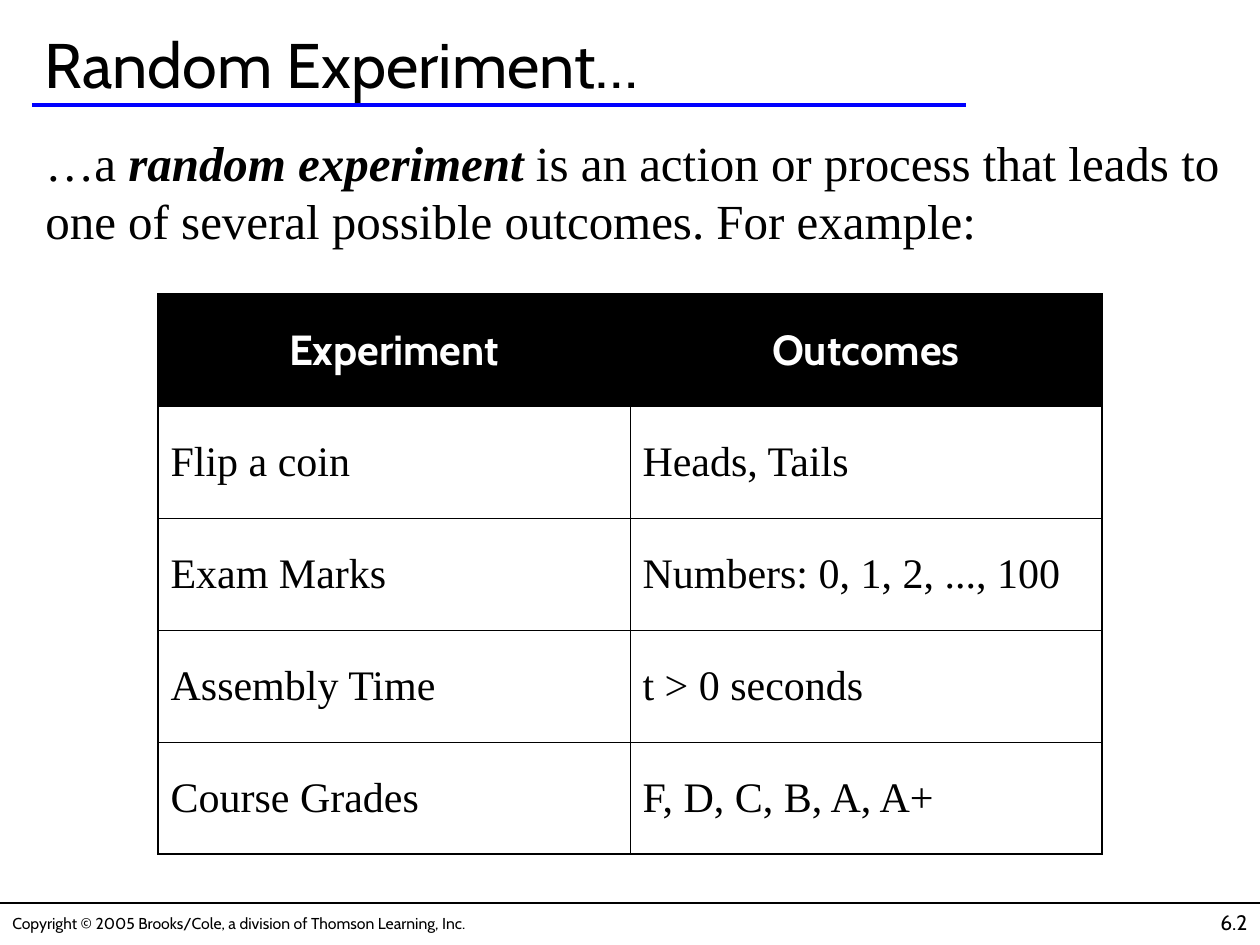
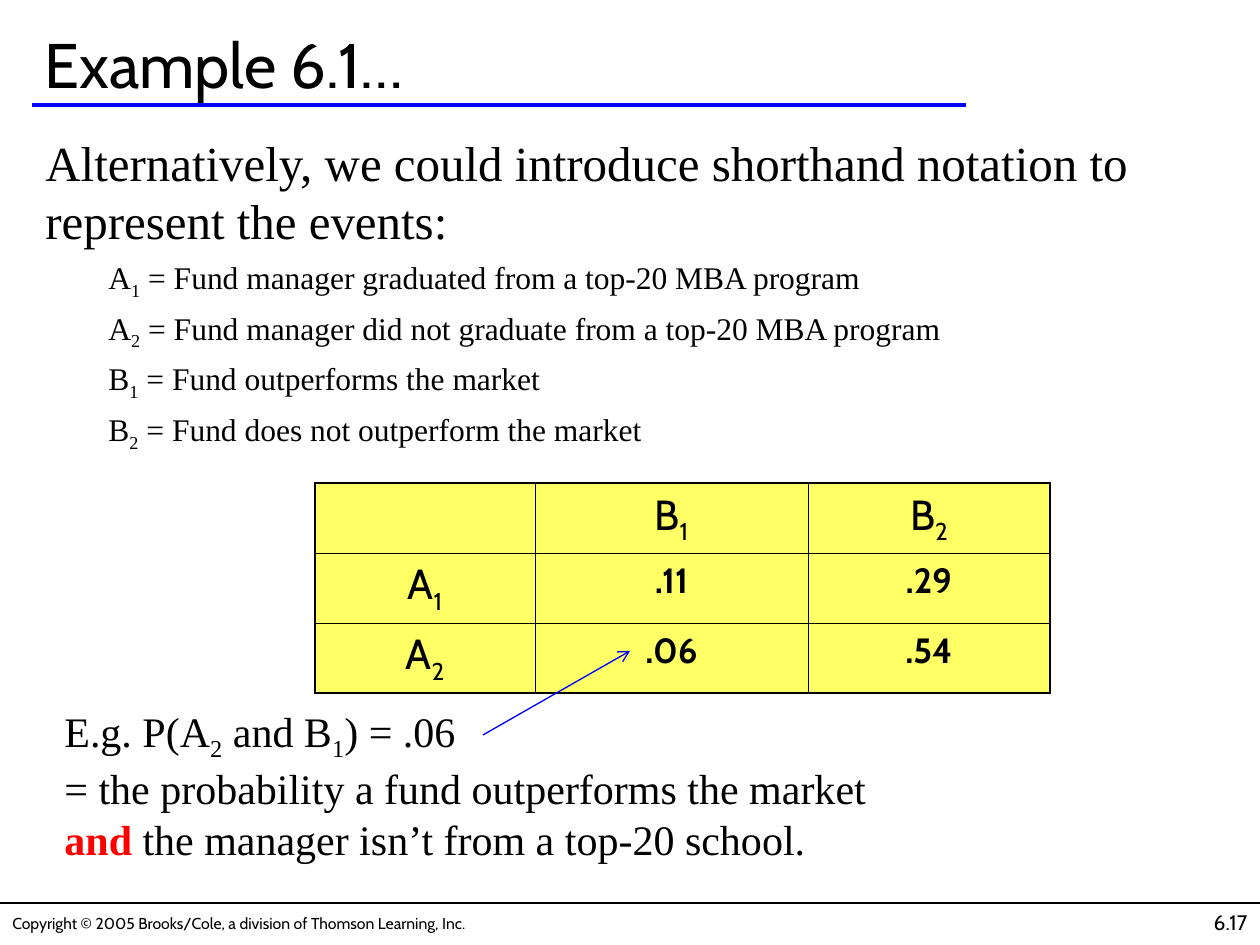
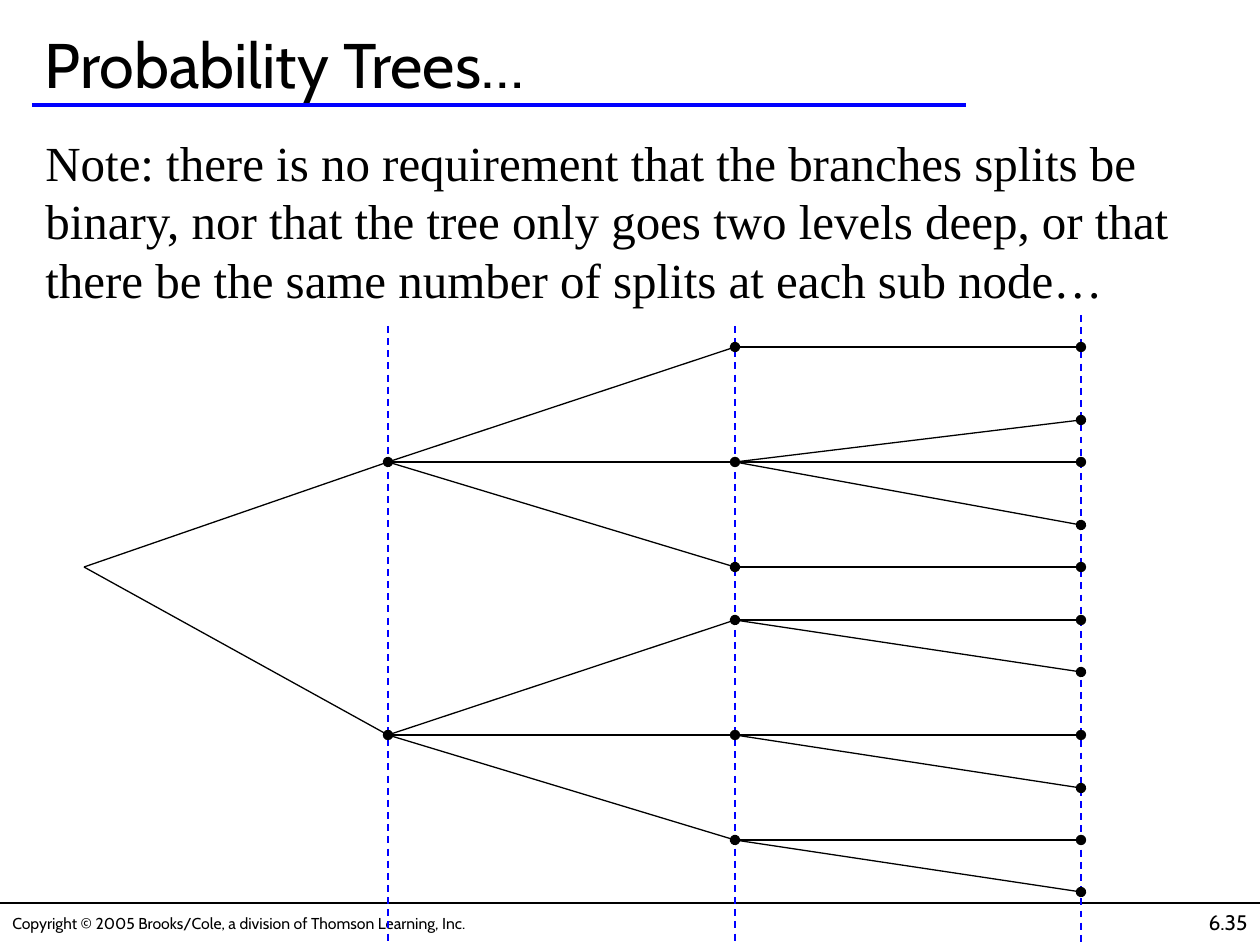
"""Build three lecture slides on probability: experiments, joint events and trees."""
from lxml.etree import SubElement
from pptx import Presentation
from pptx.dml.color import RGBColor
from pptx.enum.dml import MSO_LINE as Dash
from pptx.enum.shapes import MSO_CONNECTOR as Connector
from pptx.enum.text import MSO_ANCHOR as Anchor, MSO_AUTO_SIZE as AutoSize, PP_ALIGN as Align
from pptx.oxml.ns import qn
from pptx.util import Emu, Pt

SCALE = 914400 / 126
WIDTH, HEIGHT = 1260, 945
TITLE_ONLY = 5
COLORS = {"ink": "000000", "paper": "FFFFFF", "accent": "0000FF", "cell": "FFFF66", "alert": "FF0000"}
SANS, SERIF = "Cabin", "Times New Roman"
OUTER, INNER = 1.08, 0.45
FOOTER_TOP = 903
COPYRIGHT = "Copyright © 2005 Brooks/Cole, a division of Thomson Learning, Inc."

TITLE = {"name": SANS, "size": Pt(36)}
BODY = {"name": SERIF, "size": Pt(28)}
DETAIL = {"name": SERIF, "size": Pt(18)}
NOTE = {"name": SERIF, "size": Pt(24)}
HEADING = {"name": SANS, "size": Pt(24)}
STRONG = {"name": SANS, "size": Pt(24), "bold": True, "color": "paper"}
FIGURE = {"name": SANS, "size": Pt(20), "bold": True}
CREDIT = {"name": SANS, "size": Pt(9)}
NUMBER = {"name": SANS, "size": Pt(12)}


def px(length):
    """Turn px into EMU."""
    return Emu(round(length * SCALE))


def rgb(name):
    """Look up a named colour."""
    return RGBColor.from_string(COLORS[name])


def event(letter, index, meaning=""):
    """Return the spans of an event symbol with its subscript."""
    symbol = [letter, (index, {"sub": True})]
    return symbol + [meaning] if meaning else symbol


class Lecture:
    """Holds the deck, its style and the current slide."""

    def __init__(self):
        """Start an empty deck."""
        self.deck = Presentation()
        self.deck.slide_width, self.deck.slide_height = px(WIDTH), px(HEIGHT)
        self.page = None

    def add_page(self, title, number):
        """Start a slide with its title, rules and footer."""
        self.page = self.deck.slides.add_slide(self.deck.slide_layouts[TITLE_ONLY])
        holder = self.page.shapes.title
        holder.left, holder.top, holder.width, holder.height = map(px, (32, 21, 1207, 84))
        self.set_frame(holder.text_frame, anchor=Anchor.MIDDLE)
        self.add_spans(holder.text_frame.paragraphs[0], [title], TITLE)
        self.line((0, FOOTER_TOP), (WIDTH, FOOTER_TOP))
        self.line((32, 105), (966, 105), "accent", 2.5)
        self.text((0, 907, 602, 32), [([COPYRIGHT], CREDIT)], Anchor.MIDDLE)
        self.text((998, FOOTER_TOP, 262, 42), [([number], NUMBER)], align=Align.RIGHT)

    def set_frame(self, frame, anchor=Anchor.TOP, wrap=True):
        """Set wrapping and anchoring of a text frame."""
        settings = {"word_wrap": wrap, "auto_size": AutoSize.NONE, "vertical_anchor": anchor}
        for name, value in settings.items():
            setattr(frame, name, value)

    def add_spans(self, para, spans, style, align=Align.LEFT):
        """Fill a paragraph with plain or specially formatted spans."""
        para.alignment = align
        for part in spans:
            words, extra = (part, {}) if isinstance(part, str) else part
            formats = {"color": "ink", **style, **extra}
            span = para.add_run()
            span.text = words
            span.font.color.rgb = rgb(formats.pop("color"))
            if formats.pop("sub", False):
                span.font._element.set("baseline", "-25000")
            for name, value in formats.items():
                setattr(span.font, name, value)

    def text(self, place, paragraphs, anchor=Anchor.TOP, align=Align.LEFT, wrap=True):
        """Add a text box and return its paragraphs."""
        box = self.page.shapes.add_textbox(*map(px, place))
        frame = box.text_frame
        self.set_frame(frame, anchor, wrap)
        for index, (spans, style) in enumerate(paragraphs):
            para = frame.add_paragraph() if index else frame.paragraphs[0]
            self.add_spans(para, spans, style, align)
        return frame.paragraphs

    def body(self, spans, details=()):
        """Add the main statement and its indented details."""
        paragraphs = [(spans, BODY)] + [(detail, DETAIL) for detail in details]
        for para in self.text((33, 126, 1227, 756), paragraphs)[1:]:
            para.level = 1
            para.space_before = Pt(4.5)
            properties = para._p.get_or_add_pPr()
            properties.set("marL", str(px(62)))
            properties.set("indent", str(px(1)))

    def line(self, start, end, color="ink", width=0.75, dash=None, tip=None):
        """Add a straight line with an optional dash and tip."""
        line = self.page.shapes.add_connector(Connector.STRAIGHT, *map(px, (*start, *end)))
        line.line.color.rgb = rgb(color)
        line.line.width = Pt(width)
        if dash:
            line.line.dash_style = dash
        properties = line._element.spPr
        if tip:
            SubElement(properties.find(qn("a:ln")), qn("a:tailEnd"), type=tip)
        SubElement(properties, qn("a:effectLst"))

    def borders(self, cell, widths):
        """Draw the left, right, top and bottom borders of a cell."""
        properties = cell._tc.get_or_add_tcPr()
        for index, (side, width) in enumerate(zip("LRTB", widths)):
            border = properties.makeelement(qn(f"a:ln{side}"), {"w": str(Pt(width))})
            fill = SubElement(border, qn("a:solidFill"))
            SubElement(fill, qn("a:srgbClr"), val=COLORS["ink"])
            properties.insert(index, border)

    def table(self, corner, columns, row_height, rows, describe):
        """Add a ruled table; describe gives style, fill, alignment and anchor of a cell."""
        size = sum(columns), row_height * len(rows)
        grid = self.page.shapes.add_table(len(rows), len(columns), *map(px, (*corner, *size))).table
        grid.first_row = grid.horz_banding = False
        for column, width in zip(grid.columns, columns):
            column.width = px(width)
        for r, values in enumerate(rows):
            grid.rows[r].height = px(row_height)
            for c, spans in enumerate(values):
                cell = grid.cell(r, c)
                style, fill, align, cell.vertical_anchor = describe(r, c)
                self.add_spans(cell.text_frame.paragraphs[0], spans, style, align)
                if fill:
                    cell.fill.solid()
                    cell.fill.fore_color.rgb = rgb(fill)
                else:
                    cell.fill.background()
                edges = c == 0, c == len(columns) - 1, r == 0, r == len(rows) - 1
                self.borders(cell, [OUTER if edge else INNER for edge in edges])


def experiment_cell(row, column):
    """Describe a cell of the experiments table."""
    if row == 0:
        return STRONG, "ink", Align.CENTER, Anchor.MIDDLE
    return NOTE, None, Align.LEFT, Anchor.MIDDLE


def joint_cell(row, column):
    """Describe a cell of the joint probability table."""
    style = FIGURE if row and column else HEADING
    return style, "cell", Align.CENTER, Anchor.TOP if row else Anchor.MIDDLE


def random_experiment(lecture):
    """Build the slide that defines a random experiment."""
    lecture.add_page("Random Experiment…", "6.2")
    lecture.body([
        "…a ",
        ("random experiment", {"bold": True, "italic": True}),
        " is an action or process that leads to one of several possible outcomes. For example:",
    ])
    experiments = [
        ("Experiment", "Outcomes"),
        ("Flip a coin", "Heads, Tails"),
        ("Exam Marks", "Numbers: 0, 1, 2, ..., 100"),
        ("Assembly Time", "t > 0 seconds"),
        ("Course Grades", "F, D, C, B, A, A+"),
    ]
    rows = [[[words] for words in pair] for pair in experiments]
    lecture.table((158, 294), (472, 472), 112, rows, experiment_cell)


def joint_events(lecture):
    """Build the slide on shorthand notation for events."""
    lecture.add_page("Example 6.1…", "6.17")
    lecture.body(
        ["Alternatively, we could introduce shorthand notation to represent the events:"],
        [
            event("A", "1", " = Fund manager graduated from a top-20 MBA program"),
            event("A", "2", " = Fund manager did not graduate from a top-20 MBA program"),
            event("B", "1", " = Fund outperforms the market"),
            event("B", "2", " = Fund does not outperform the market"),
        ],
    )
    rows = [
        [[], event("B", "1"), event("B", "2")],
        [event("A", "1"), [".11"], [".29"]],
        [event("A", "2"), [".06"], [".54"]],
    ]
    lecture.table((315, 483), (220, 273, 242), 70, rows, joint_cell)
    reading = [
        event("E.g. P(A", "2") + event(" and B", "1", ") = .06"),
        ["= the probability a fund outperforms the market"],
        [("and", {"bold": True, "color": "alert"}), " the manager isn’t from a top-20 school."],
    ]
    lecture.text((52, 699, 827, 171), [(spans, NOTE) for spans in reading], Anchor.MIDDLE, wrap=False)
    lecture.line((483, 735), (630, 651), "accent", tip="arrow")


def probability_tree(lecture):
    """Build the slide with a three-level probability tree."""
    lecture.add_page("Probability Trees…", "6.35")
    lecture.body([
        "Note: there is no requirement that the branches splits be binary, nor that the tree only "
        "goes two levels deep, or that there be the same number of splits at each sub node…"
    ])
    stages = (84, 388, 735, 1081)
    levels = [
        {567: (462, 735)},
        {462: (347, 462, 567), 735: (620, 735, 840)},
        {347: (347,), 462: (420, 462, 525), 567: (567,),
         620: (620, 672), 735: (735, 788), 840: (840, 892)},
    ]
    for x, top in zip(stages[1:], (326, 326, 315)):
        lecture.line((x, top), (x, HEIGHT), "accent", 1, Dash.DASH)
    for left, right, level in zip(stages, stages[1:], levels):
        for parent, children in level.items():
            for child in children:
                lecture.line((left, parent), (right, child), tip="oval")


def main():
    """Build and save the deck."""
    lecture = Lecture()
    for build in (random_experiment, joint_events, probability_tree):
        build(lecture)
    lecture.deck.save("out.pptx")


if __name__ == "__main__":
    main()
